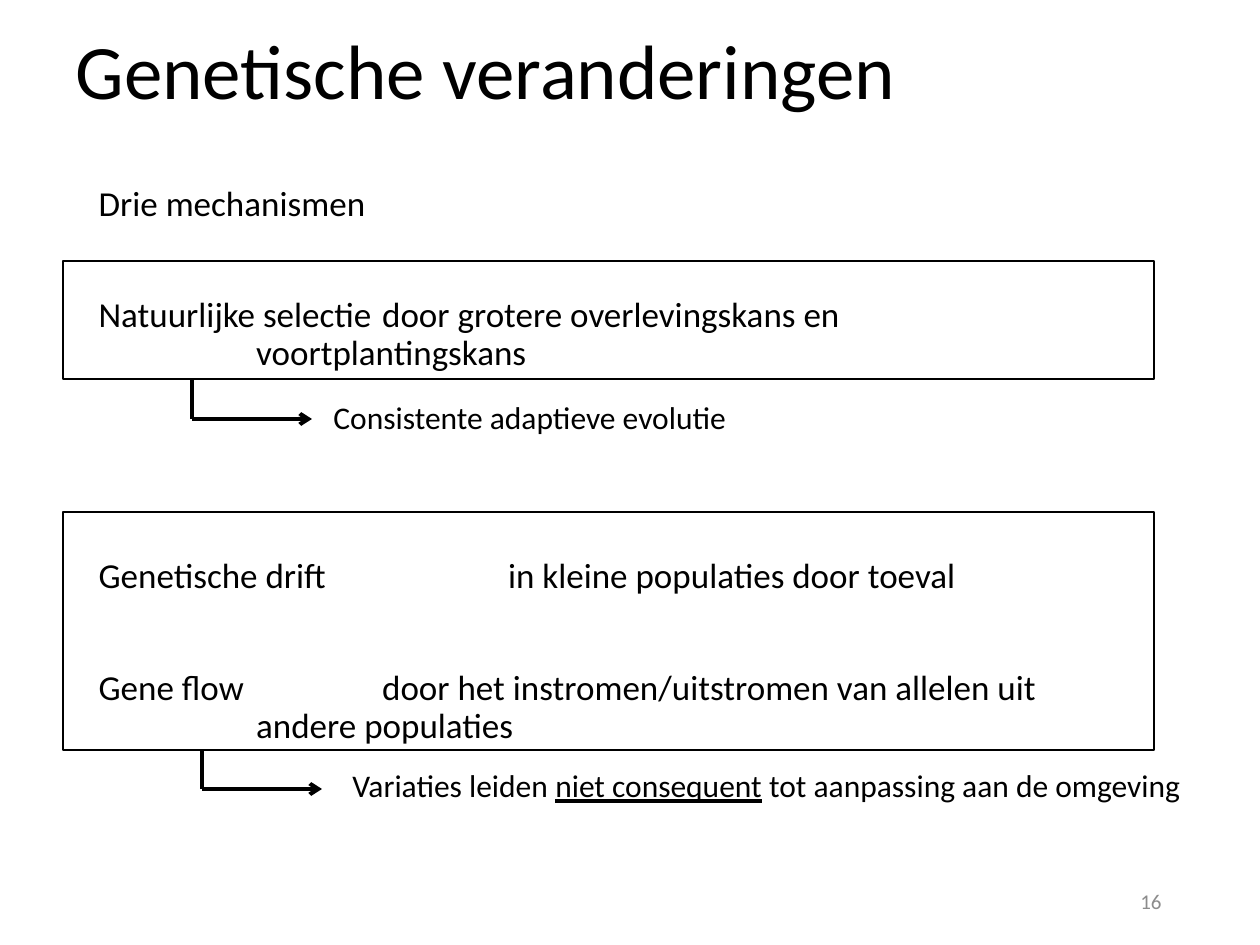
import pptx
import pptx.util
import pptx.dml.color
import pptx.enum.shapes
import pptx.enum.text
import pptx.oxml.ns
import lxml.etree

BLACK = pptx.dml.color.RGBColor(0x00, 0x00, 0x00)
GREY = pptx.dml.color.RGBColor(0x8C, 0x8C, 0x8C)
ALIGN = pptx.enum.text.PP_ALIGN
ANCHOR = pptx.enum.text.MSO_ANCHOR
AUTO_SIZE = pptx.enum.text.MSO_AUTO_SIZE
PX_PER_INCH = 126


def px(length):
    return pptx.util.Emu(round(length * 914400 / PX_PER_INCH))


def add_xml(parent, tag, **attributes):
    lxml.etree.SubElement(parent, pptx.oxml.ns.qn(tag), **attributes)


class MechanismSlide:
    font_name = "Calibri"
    line_spacing = 0.9

    def __init__(self, deck):
        self.slide = deck.slides.add_slide(deck.slide_layouts[1])

    def style(self, paragraph, size, color=BLACK, align=ALIGN.LEFT):
        paragraph.alignment = align
        paragraph.font.name = self.font_name
        paragraph.font.size = pptx.util.Pt(size)
        paragraph.font.color.rgb = color

    def place(self, shape, box):
        shape.left, shape.top, shape.width, shape.height = map(px, box)

    def title(self, box, text):
        heading = self.slide.shapes.title
        self.place(heading, box)
        heading.text_frame.auto_size = AUTO_SIZE.NONE
        heading.text_frame.vertical_anchor = ANCHOR.MIDDLE
        paragraph = heading.text_frame.paragraphs[0]
        paragraph.text = text
        paragraph.line_spacing = self.line_spacing
        self.style(paragraph, 44)

    def body(self, box, items):
        """Each item is its text and the space before it in points."""
        mechanisms = self.slide.placeholders[1]
        self.place(mechanisms, box)
        frame = mechanisms.text_frame
        frame.auto_size = AUTO_SIZE.NONE
        frame.vertical_anchor = ANCHOR.TOP
        for index, (text, space) in enumerate(items):
            paragraph = frame.add_paragraph() if index else frame.paragraphs[0]
            paragraph.text = text
            paragraph.line_spacing = self.line_spacing
            paragraph.space_before = pptx.util.Pt(space)
            # Hanging indent, one-inch tabs, no bullet
            properties = paragraph._p.get_or_add_pPr()
            properties.set("marL", "228600")
            properties.set("indent", "-228600")
            properties.set("defTabSz", "914400")
            add_xml(properties, "a:buNone")
            self.style(paragraph, 20)

    def frame(self, box):
        rectangle = self.slide.shapes.add_shape(
            pptx.enum.shapes.MSO_SHAPE.RECTANGLE, *map(px, box))
        rectangle.shadow.inherit = False
        rectangle.fill.background()
        rectangle.line.color.rgb = BLACK
        rectangle.line.width = pptx.util.Pt(1)

    def line(self, start, end, arrow=False):
        connector = self.slide.shapes.add_connector(
            pptx.enum.shapes.MSO_CONNECTOR.STRAIGHT, *map(px, start + end))
        connector.line.color.rgb = BLACK
        connector.line.width = pptx.util.Pt(2.25)
        if arrow:
            add_xml(connector.line._get_or_add_ln(), "a:tailEnd", type="arrow")
        add_xml(connector._element.spPr, "a:effectLst")

    def bent_arrow(self, start, drop, reach):
        corner = (start[0], start[1] + drop)
        self.line(start, corner)
        self.line(corner, (corner[0] + reach, corner[1]), arrow=True)

    def outcome(self, box, *parts):
        """Each part is a text and whether it is underlined."""
        label = self.slide.shapes.add_textbox(*map(px, box))
        label.text_frame.word_wrap = False
        label.text_frame.auto_size = AUTO_SIZE.SHAPE_TO_FIT_TEXT
        paragraph = label.text_frame.paragraphs[0]
        for text, underlined in parts:
            run = paragraph.add_run()
            run.text = text
            if underlined:
                run.font.underline = True
        self.style(paragraph, 18)

    def page_number(self, box, number):
        label = self.slide.shapes.add_textbox(*map(px, box))
        label.text_frame.word_wrap = True
        label.text_frame.vertical_anchor = ANCHOR.MIDDLE
        paragraph = label.text_frame.paragraphs[0]
        paragraph.text = number
        self.style(paragraph, 12, GREY, ALIGN.RIGHT)


def main():
    deck = pptx.Presentation()
    deck.slide_width, deck.slide_height = px(1260), px(945)
    page = MechanismSlide(deck)

    # Title and the three mechanisms
    page.title((63, -4, 1134, 157), "Genetische veranderingen")
    page.body((86, 180, 1086, 600), [
        ("Drie mechanismen", 10),
        ("Natuurlijke selectie\tdoor grotere overlevingskans en"
         "\v\tvoortplantingskans", 42),
        ("Genetische drift\t\tin kleine populaties door toeval", 106),
        ("Gene flow\t\tdoor het instromen/uitstromen van allelen uit"
         "\v\tandere populaties", 42),
    ])

    # Drift and gene flow, then natural selection
    page.frame((63, 512, 1091, 238))
    page.frame((63, 261, 1091, 118))

    # Outcome of natural selection
    page.outcome((321, 392, 423, 50), ("Consistente adaptieve evolutie", False))
    page.bent_arrow((192, 379), 40, 120)

    # Outcome of drift and gene flow
    page.outcome((340, 760, 863, 50), ("Variaties leiden ", False),
                 ("niet consequent", True),
                 (" tot aanpassing aan de omgeving", False))
    page.bent_arrow((202, 750), 39, 120)

    page.page_number((890, 876, 284, 50), "16")
    deck.save("out.pptx")


if __name__ == "__main__":
    main()
